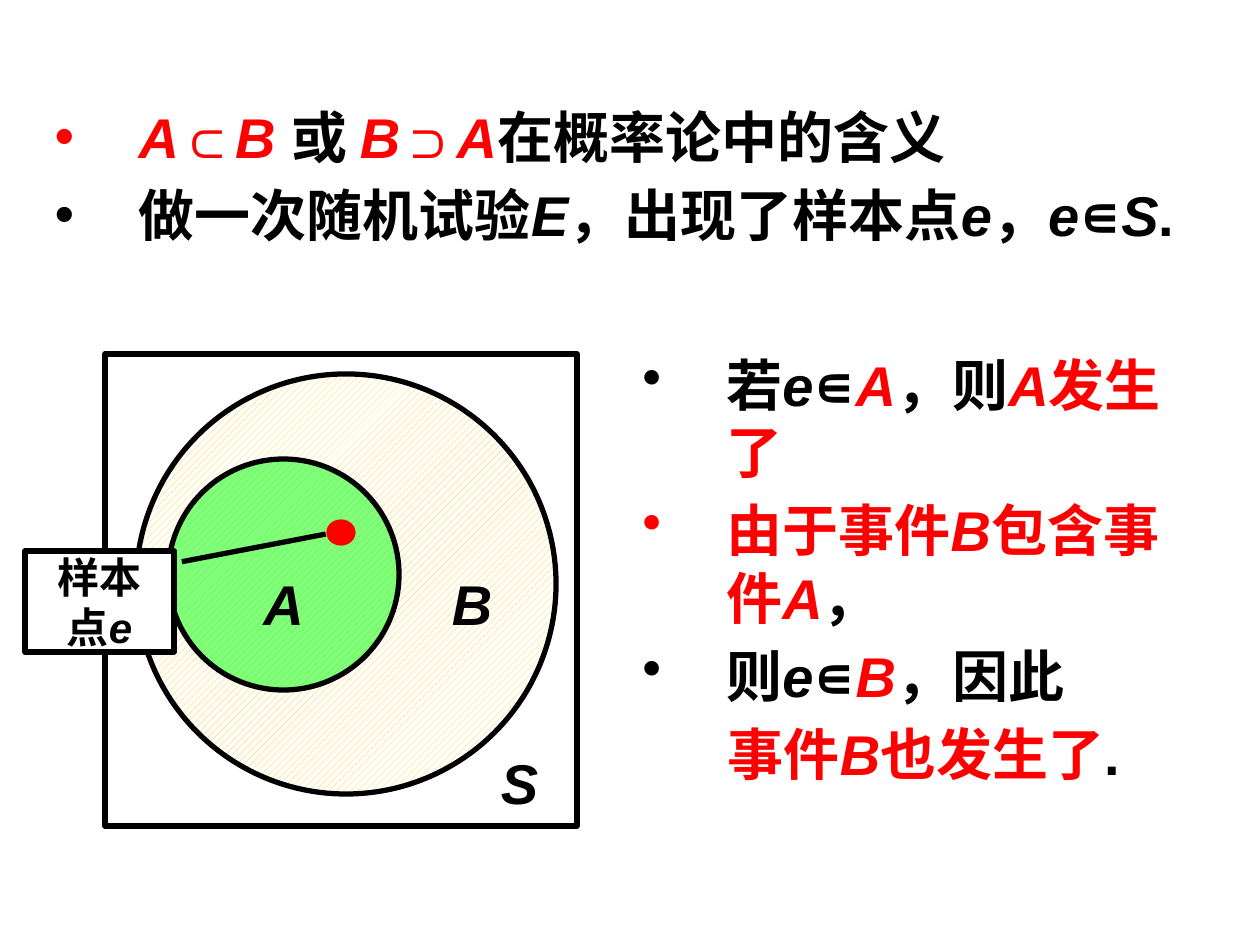
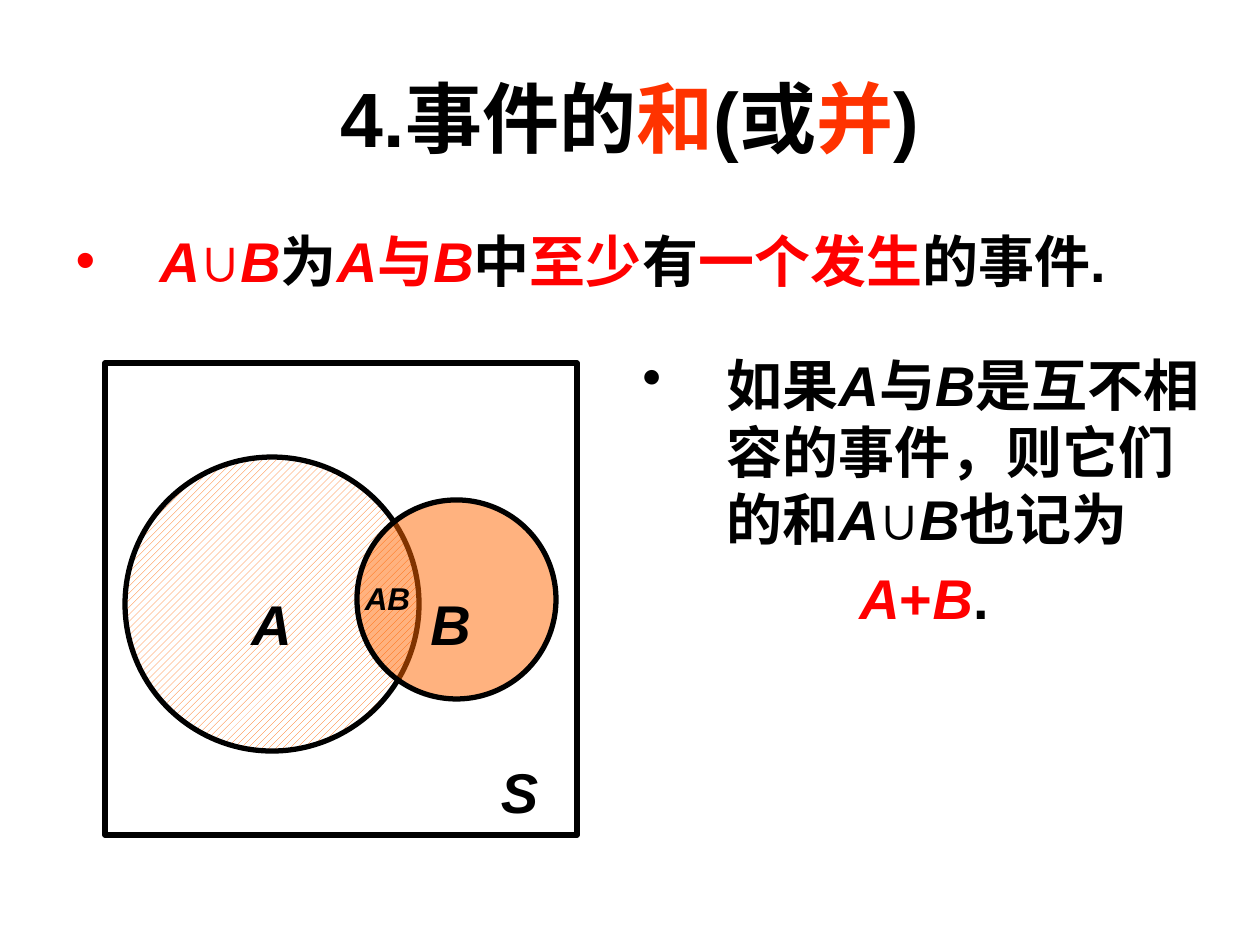
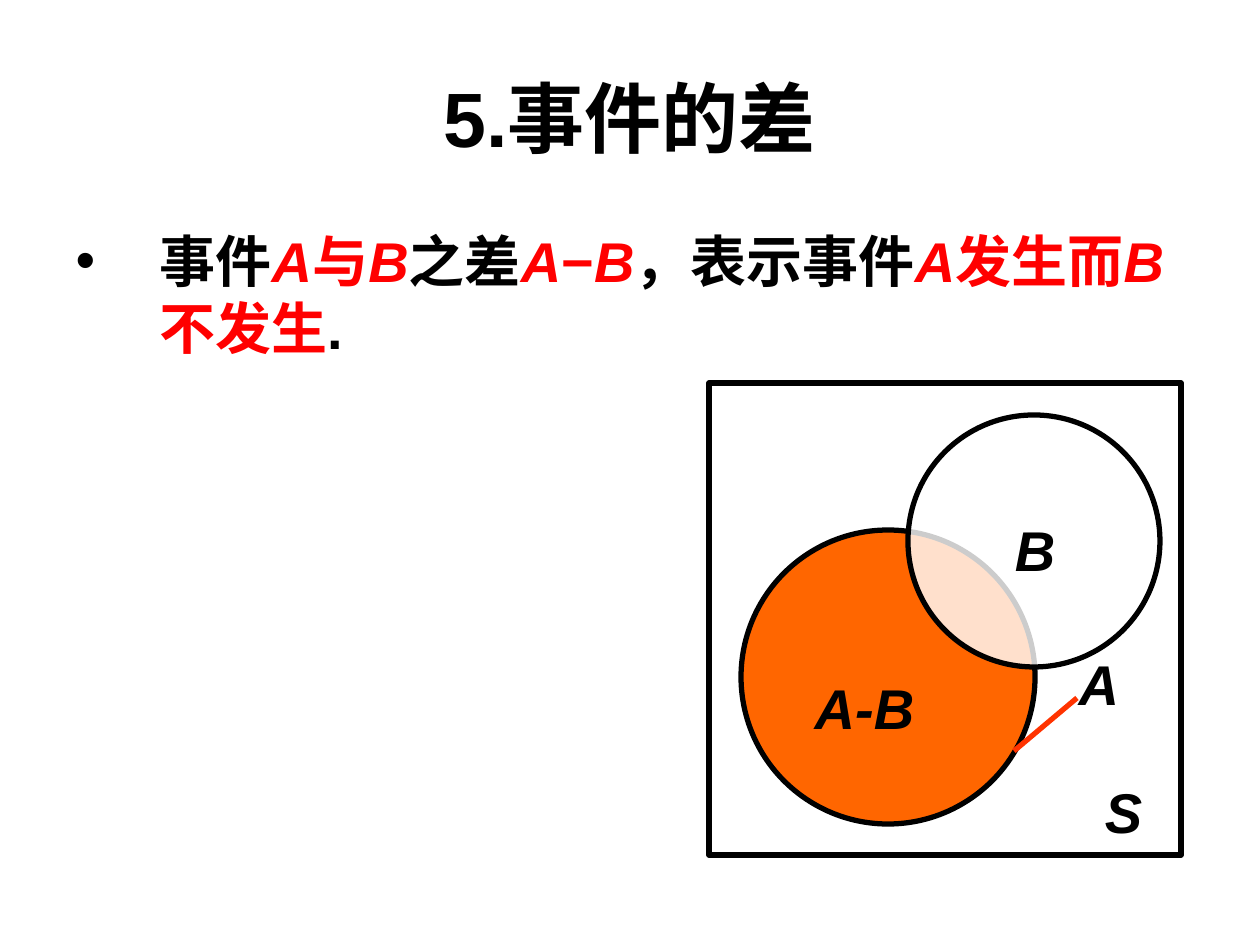
"""Build three slides on relations between random events, with Venn diagrams."""
from itertools import groupby

from lxml import etree
from pptx import Presentation
from pptx.dml.color import RGBColor
from pptx.enum.dml import MSO_PATTERN
from pptx.enum.shapes import MSO_CONNECTOR, MSO_SHAPE
from pptx.enum.text import MSO_ANCHOR, MSO_AUTO_SIZE, PP_ALIGN
from pptx.oxml.ns import qn
from pptx.util import Emu, Pt

HATCH = MSO_PATTERN.WIDE_UPWARD_DIAGONAL
RECT, OVAL, CALLOUT = MSO_SHAPE.RECTANGLE, MSO_SHAPE.OVAL, MSO_SHAPE.LINE_CALLOUT_1
STRAIGHT = MSO_CONNECTOR.STRAIGHT
LEFT, CENTER = PP_ALIGN.LEFT, PP_ALIGN.CENTER
TOP, MIDDLE = MSO_ANCHOR.TOP, MSO_ANCHOR.MIDDLE
NO_FIT, GROW = MSO_AUTO_SIZE.NONE, MSO_AUTO_SIZE.SHAPE_TO_FIT_TEXT

BLACK, WHITE, RED, VERMILION = "000000", "FFFFFF", "FF0000", "FF3300"
ORANGE, YELLOW, GREEN = "FF6600", "FFCC00", "00FF00"
LATIN_FONT, HAN_FONT = "Arial", "Noto Sans CJK SC"
EVENT_LETTERS = "ABESe"
WIDTH, HEIGHT = 1260, 945
EMU_PER_PIXEL = 914400 / 126
STROKE = 3
TITLE_AREA, BODY_AREA = (63, 38, 1134, 158), (63, 220, 1134, 624)
SIDE_AREA = (630, 344, 588, 465)
TITLE_HANG, LIST_HANG = 116, 84
SPACE_SIDE, LABEL_HEIGHT = 472, 79
SPACE_LABEL = (378, 388, 73)

# Text between bars takes the accent colour; event letters become italic.
SLIDES = [
    {
        "body_area": (42, 96, 1177, 228),
        "body": ["|A⊂B |或 |B⊃A|在概率论中的含义",
                 "做一次随机试验E，出现了样本点e，e∊S."],
        "space": (105, 354),
        "events": [
            {"circle": (136, 374, 420), "fill": YELLOW, "hatched": True,
             "label": ("B", 430, 563, 84)},
            {"circle": (168, 459, 231), "fill": GREEN, "opacity": 50,
             "label": ("A", 231, 563, 105)},
        ],
        "sample_point": {"dot": (329, 522, 24, 21), "text": "样本点e",
                         "box": (25, 551, 149, 101),
                         "leader": (0.107, 1.053, -0.167, 2.018)},
        "side": ["若e∊|A|，则|A发生了|", "|由于事件B包含事件A|，", "则e∊|B|，因此"],
        "conclusion": "|事件B也发生了|.",
    },
    {
        "title": "4.事件的|和|(或|并|)",
        "body": ["|A∪B|为|A与B|中|至少|有|一个发生|的事件."],
        "space": (105, 363),
        "events": [
            {"circle": (125, 457, 294), "fill": ORANGE, "hatched": True,
             "label": ("A", 219, 583, 105)},
            {"circle": (357, 500, 199), "fill": ORANGE, "opacity": 50,
             "label": ("B", 398, 583, 105)},
        ],
        "overlap": ("AB", 335, 573, 105),
        "side": ["如果A与B是互不相容的事件，则它们的和A∪B也记为"],
        "conclusion": "|A+B|.",
    },
    {
        "title": "5.事件的差",
        "body": ["事件|A与B|之差|A−B|，表示事件|A发生而B不发生|."],
        "space": (709, 383),
        "events": [
            {"circle": (741, 530, 294), "fill": ORANGE,
             "label": ("A-B", 799, 667, 131)},
            {"circle": (908, 415, 252), "fill": WHITE, "opacity": 80,
             "label": ("B", 993, 509, 84)},
        ],
        "pointer": {"ends": (1014, 751, 1077, 698), "label": ("A", 1066, 643, 66)},
    },
]


def px(*lengths):
    return [Emu(round(length * EMU_PER_PIXEL)) for length in lengths]


def rgb(value):
    return RGBColor.from_string(value)


def move(shape, area):
    shape.left, shape.top, shape.width, shape.height = px(*area)


def write(shape, lines, size=32, accent=RED, align=LEFT, anchor=TOP, fit=NO_FIT,
          gap=0, hang=0, bullet=False, italic=None, conclusion=None):
    frame = shape.text_frame
    frame.word_wrap, frame.auto_size, frame.vertical_anchor = True, fit, anchor
    entries = [(line, align, bullet) for line in lines]
    if conclusion:
        entries.append((conclusion, CENTER, False))
    for number, (line, alignment, bulleted) in enumerate(entries):
        paragraph = frame.add_paragraph() if number else frame.paragraphs[0]
        paragraph.alignment, paragraph.space_before = alignment, Pt(size * gap)
        settings = paragraph._p.get_or_add_pPr()
        if hang:
            settings.set("marL", str(px(hang)[0]))
            settings.set("indent", str(px(-hang)[0]))
        mark = etree.SubElement(settings, qn("a:buChar" if bulleted else "a:buNone"))
        if bulleted:
            mark.set("char", "•")
        for part, words in enumerate(line.split("|")):
            for is_event, letters in groupby(words, lambda c: c in EVENT_LETTERS):
                run = paragraph.add_run()
                run.text = "".join(letters)
                font = run.font
                font.name, font.size, font.bold = LATIN_FONT, Pt(size), True
                font.italic = is_event if italic is None else italic
                font.color.rgb = rgb(accent if part % 2 else BLACK)
                han = etree.SubElement(run._r.get_or_add_rPr(), qn("a:ea"))
                han.set("typeface", HAN_FONT)


def draw(group, preset, area, fill=WHITE, line=BLACK, hatched=False, opacity=None):
    shape = group.shapes.add_shape(preset, *px(*area))
    shape.shadow.inherit = False
    shape.line.color.rgb, shape.line.width = rgb(line), Pt(STROKE)
    if hatched:
        shape.fill.patterned()
        shape.fill.pattern = HATCH
        shape.fill.fore_color.rgb, shape.fill.back_color.rgb = rgb(fill), rgb(WHITE)
    else:
        shape.fill.solid()
        shape.fill.fore_color.rgb = rgb(fill)
    if opacity:
        colour = shape._element.spPr.find(qn("a:solidFill"))[0]
        etree.SubElement(colour, qn("a:alpha")).set("val", str(opacity * 1000))
    return shape


def add_label(group, text, left, top, width, height=LABEL_HEIGHT, size=32):
    label = group.shapes.add_textbox(*px(left, top, width, height))
    write(label, [text], size=size, align=CENTER, fit=GROW, gap=0.5, italic=True)


def add_pointer(group, ends, label):
    pointer = group.shapes.add_connector(STRAIGHT, *px(*ends))
    pointer.line.color.rgb, pointer.line.width = rgb(VERMILION), Pt(STROKE)
    etree.SubElement(pointer._element.spPr, qn("a:effectLst"))
    add_label(group, *label)


def add_sample_point(slide, dot, text, box, leader):
    group = slide.shapes.add_group_shape()
    draw(group, OVAL, dot, fill=RED, line=RED)
    callout = draw(group, CALLOUT, box)
    for index, value in enumerate(leader):
        callout.adjustments[index] = value
    write(callout, [text], size=24, align=CENTER, anchor=MIDDLE)


def add_diagram(slide, content):
    group = slide.shapes.add_group_shape()
    left, top = content["space"]
    draw(group, RECT, (left, top, SPACE_SIDE, SPACE_SIDE))
    across, down, width = SPACE_LABEL
    add_label(group, "S", left + across, top + down, width)
    for event in content["events"]:
        x, y, diameter = event["circle"]
        draw(group, OVAL, (x, y, diameter, diameter), fill=event["fill"],
             hatched=event.get("hatched", False), opacity=event.get("opacity"))
        add_label(group, *event["label"])
    if "overlap" in content:
        add_label(group, *content["overlap"], height=50, size=18)
    if "pointer" in content:
        add_pointer(group, **content["pointer"])


def add_slide(deck, content):
    slide = deck.slides.add_slide(deck.slide_layouts[1])
    title, body = slide.placeholders
    if "title" in content:
        move(title, TITLE_AREA)
        write(title, [content["title"]], size=44, accent=VERMILION, align=CENTER,
              anchor=MIDDLE, hang=TITLE_HANG)
    else:
        title._element.getparent().remove(title._element)
    move(body, content.get("body_area", BODY_AREA))
    write(body, content["body"], gap=0.2, hang=LIST_HANG, bullet=True)
    add_diagram(slide, content)
    if "sample_point" in content:
        add_sample_point(slide, **content["sample_point"])
    if "side" in content:
        side = slide.shapes.add_textbox(*px(*SIDE_AREA))
        write(side, content["side"], gap=0.2, hang=LIST_HANG, bullet=True,
              conclusion=content["conclusion"])


deck = Presentation()
deck.slide_width, deck.slide_height = px(WIDTH, HEIGHT)
for slide_content in SLIDES:
    add_slide(deck, slide_content)
deck.save("out.pptx")
